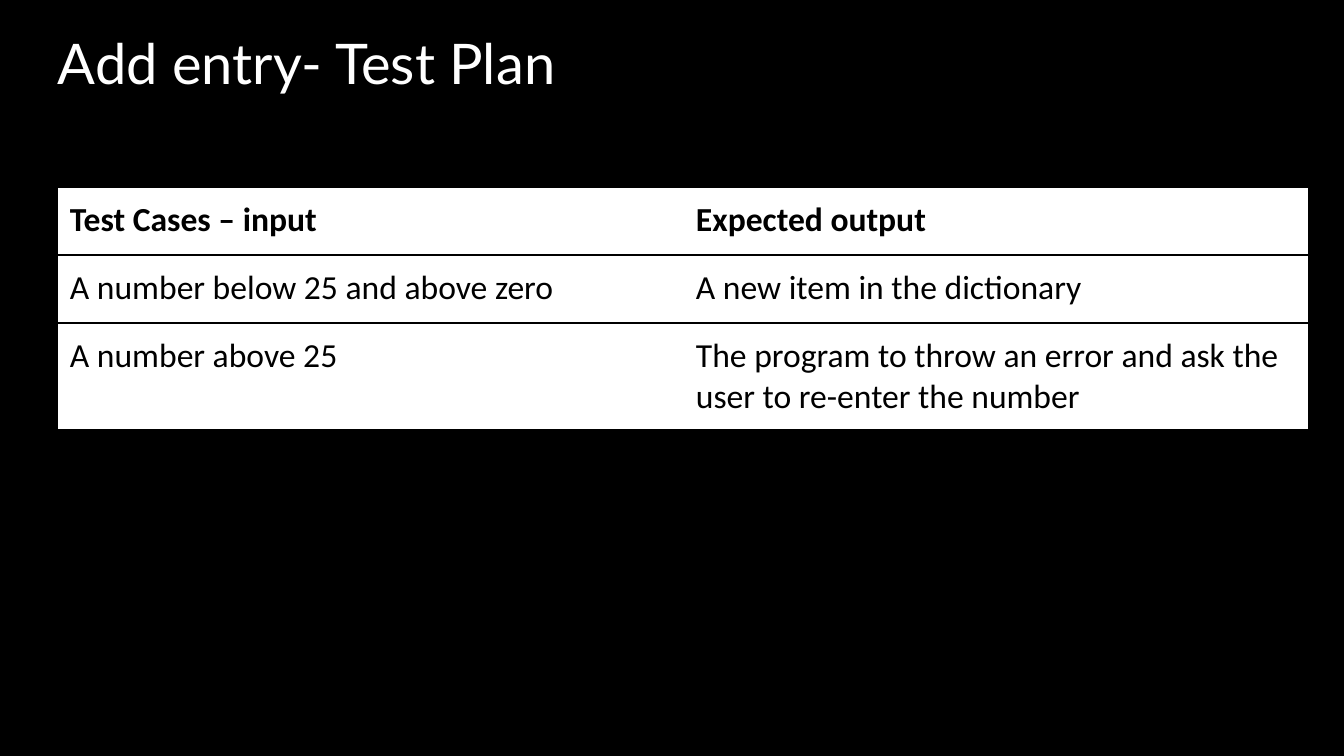
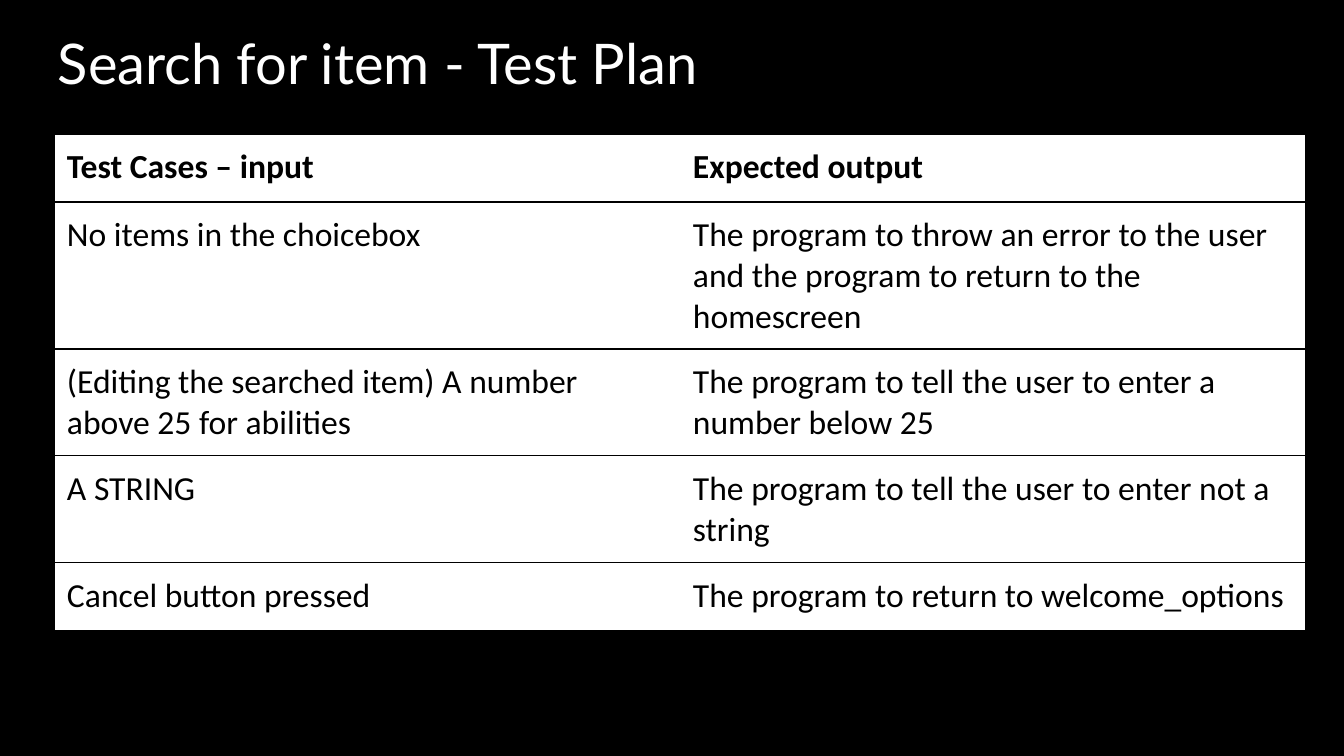
from lxml.etree import SubElement
from pptx import Presentation
from pptx.dml.color import RGBColor
from pptx.enum.text import MSO_ANCHOR
from pptx.oxml import parse_xml
from pptx.oxml.ns import nsdecls, qn
from pptx.util import Emu, Pt

BLACK = RGBColor(0, 0, 0)
WHITE = RGBColor(255, 255, 255)
SLIDE_WIDTH, SLIDE_HEIGHT = 1344, 756
TABLE_WIDTH, ROW_HEIGHT, INSET = 1252, 68, 13
HEADER = ("Test Cases – input", "Expected output")
OUTER_SIDES = ("lnL", "lnR")

TEST_PLANS = [
    ("Add entry- Test Plan", 57, 187, [
        ("A number below 25 and above zero", "A new item in the dictionary"),
        ("A number above 25",
         "The program to throw an error and ask the user to re-enter the number"),
    ]),
    ("Search for item - Test Plan", 54, 134, [
        ("No items in the choicebox",
         "The program to throw an error to the user and the program to return to the homescreen"),
        ("(Editing the searched item) A number above 25 for abilities",
         "The program to tell the user to enter a number below 25"),
        ("A STRING", "The program to tell the user to enter not a string"),
        ("Cancel button pressed", "The program to return to welcome_options"),
    ]),
]


def px(length):
    return Emu(length * 12192000 // SLIDE_WIDTH)


def set_borders(cell, outer_side):
    properties = cell._tc.get_or_add_tcPr()
    for position, side in enumerate(("lnL", "lnR", "lnT", "lnB")):
        line = parse_xml(f'<a:{side} {nsdecls("a")} w="{Pt(1)}"/>')
        if side in OUTER_SIDES and side != outer_side:
            SubElement(line, qn("a:noFill"))
        else:
            fill = SubElement(line, qn("a:solidFill"))
            SubElement(fill, qn("a:srgbClr"), val=str(BLACK))
        properties.insert(position, line)


presentation = Presentation()
presentation.slide_width = px(SLIDE_WIDTH)
presentation.slide_height = px(SLIDE_HEIGHT)
background = presentation.slide_master.background.fill
background.solid()
background.fore_color.rgb = BLACK
blank_layout = presentation.slide_layouts[6]

for title, left, top, test_cases in TEST_PLANS:
    slide = presentation.slides.add_slide(blank_layout)

    title_box = slide.shapes.add_textbox(px(45), px(24), px(TABLE_WIDTH), px(85))
    text_frame = title_box.text_frame
    text_frame.word_wrap = True
    text_frame.vertical_anchor = MSO_ANCHOR.MIDDLE
    text_frame.margin_left = text_frame.margin_right = px(INSET)
    text_frame.margin_top = text_frame.margin_bottom = px(INSET)
    text_frame.text = title
    paragraph = text_frame.paragraphs[0]
    paragraph.line_spacing = 0.9
    font = paragraph.runs[0].font
    font.name, font.size = "Lato", Pt(40)
    font.color.rgb = WHITE

    rows = [HEADER, *test_cases]
    table = slide.shapes.add_table(
        len(rows), len(HEADER), px(left), px(top),
        px(TABLE_WIDTH), px(ROW_HEIGHT * len(rows))).table
    table.first_row = table.horz_banding = False
    for row_index, row in enumerate(rows):
        for column_index, text in enumerate(row):
            cell = table.cell(row_index, column_index)
            cell.margin_left = cell.margin_right = px(INSET)
            cell.margin_top = cell.margin_bottom = px(INSET)
            cell.fill.solid()
            cell.fill.fore_color.rgb = WHITE
            set_borders(cell, OUTER_SIDES[column_index])
            cell.text_frame.text = text
            font = cell.text_frame.paragraphs[0].runs[0].font
            font.name, font.size = "Calibri", Pt(24)
            font.bold = row_index == 0
            font.color.rgb = BLACK

presentation.save("out.pptx")
